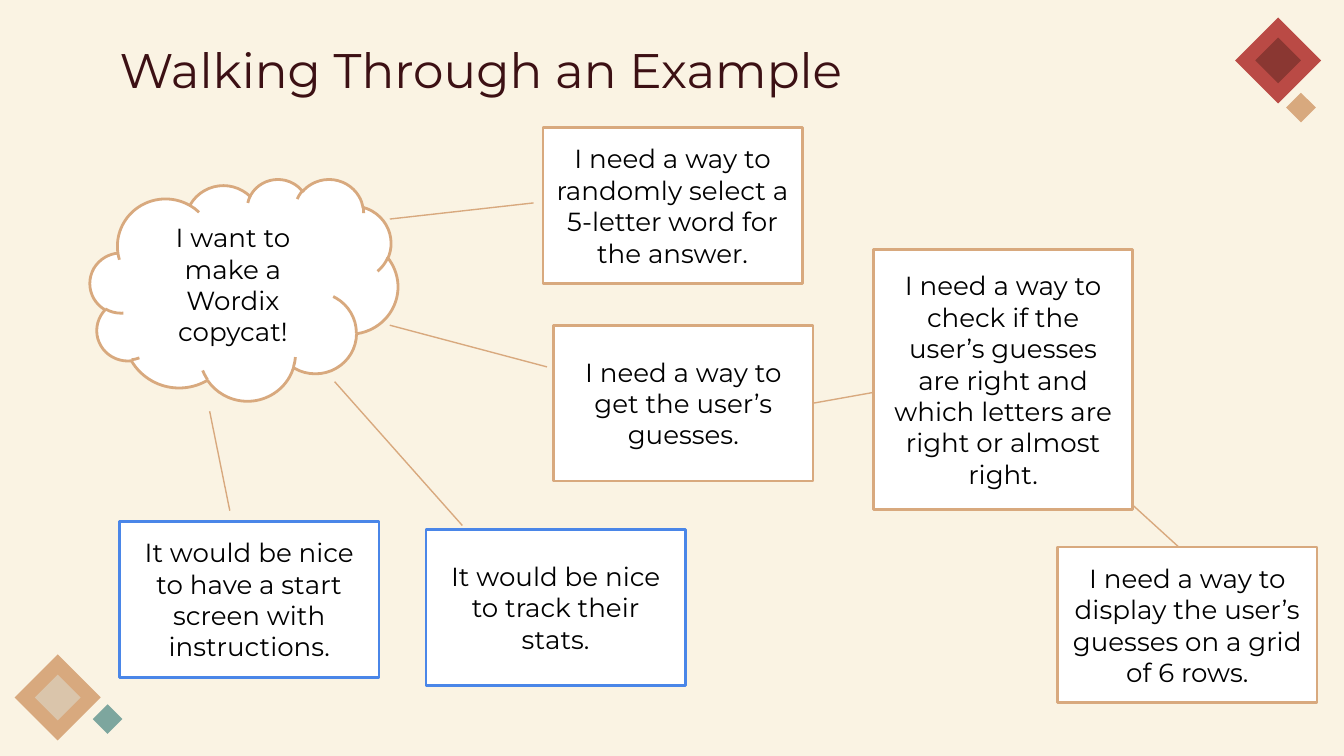
import pptx
import pptx.dml.color
import pptx.enum.shapes
import pptx.enum.text
import pptx.oxml
import pptx.oxml.ns
import pptx.util

Inches = pptx.util.Inches
Pt = pptx.util.Pt
RGBColor = pptx.dml.color.RGBColor
MSO_SHAPE = pptx.enum.shapes.MSO_SHAPE
PP_ALIGN = pptx.enum.text.PP_ALIGN

CREAM = RGBColor(0xFA, 0xF3, 0xE3)
WHITE = RGBColor(0xFF, 0xFF, 0xFF)
BLACK = RGBColor(0x00, 0x00, 0x00)
MAROON = RGBColor(0x3C, 0x10, 0x14)
TAN = RGBColor(0xD8, 0xA9, 0x7E)
SAND = RGBColor(0xDA, 0xC5, 0xAB)
RED = RGBColor(0xBA, 0x4A, 0x45)
DARK_RED = RGBColor(0x8A, 0x37, 0x32)
TEAL = RGBColor(0x7D, 0xA6, 0x9E)
BLUE = RGBColor(0x4A, 0x86, 0xE8)


def write_text(shape, text, size=14, color=BLACK, align=PP_ALIGN.CENTER):
    frame = shape.text_frame
    frame.word_wrap = True
    frame.auto_size = pptx.enum.text.MSO_AUTO_SIZE.NONE
    frame.vertical_anchor = pptx.enum.text.MSO_ANCHOR.MIDDLE
    frame.margin_left = frame.margin_right = Inches(0.1)
    frame.margin_top = frame.margin_bottom = Inches(0.1)
    paragraph = frame.paragraphs[0]
    paragraph.text = text
    paragraph.alignment = align
    paragraph.font.name = "Montserrat"
    paragraph.font.size = Pt(size)
    paragraph.font.color.rgb = color


def add_filled_shape(kind, left, top, width, height, fill, outline=None):
    shape = slide.shapes.add_shape(
        kind, Inches(left), Inches(top), Inches(width), Inches(height))
    shape.shadow.inherit = False
    shape.fill.solid()
    shape.fill.fore_color.rgb = fill
    if outline is None:
        shape.line.fill.background()
    else:
        shape.line.color.rgb = outline
        shape.line.width = Pt(1.5)
    return shape


presentation = pptx.Presentation()
presentation.slide_width = Inches(10)
presentation.slide_height = Inches(10 * 9 / 16)
slide = presentation.slides.add_slide(presentation.slide_layouts[5])
slide.background.fill.solid()
slide.background.fill.fore_color.rgb = CREAM

# Corner diamonds
for left, top, size, color in [
    (0.11, 4.87, 0.64, TAN),
    (0.26, 5.02, 0.34, SAND),
    (9.19, 0.13, 0.64, RED),
    (9.34, 0.28, 0.34, DARK_RED),
    (0.69, 5.24, 0.22, TEAL),
    (9.57, 0.69, 0.22, TAN),
]:
    add_filled_shape(MSO_SHAPE.DIAMOND, left, top, size, size, color)

title = slide.shapes.title
title.left, title.top = Inches(0.79), Inches(0.2)
title.width, title.height = Inches(8.43), Inches(0.63)
write_text(title, "Walking Through an Example", size=26, color=MAROON,
           align=PP_ALIGN.LEFT)

# Idea cloud and the tasks it leads to
cloud = add_filled_shape(MSO_SHAPE.CLOUD, 0.67, 1.33, 2.29, 1.65, WHITE, TAN)
write_text(cloud, "I want to make a Wordix copycat!")

tasks = {}
for name, left, top, height, outline, text in [
    ("answer", 4.04, 0.95, 1.16, TAN,
     "I need a way to randomly select a 5-letter word for the answer."),
    ("guesses", 4.12, 2.42, 1.16, TAN,
     "I need a way to get the user’s guesses."),
    ("grid", 7.87, 4.07, 1.16, TAN,
     "I need a way to display the user’s guesses on a grid of 6 rows."),
    ("check", 6.5, 1.86, 1.93, TAN,
     "I need a way to check if the user’s guesses are right and which "
     "letters are right or almost right."),
    ("start", 0.89, 3.88, 1.16, BLUE,
     "It would be nice to have a start screen with instructions."),
    ("stats", 3.17, 3.94, 1.16, BLUE,
     "It would be nice to track their stats."),
]:
    tasks[name] = add_filled_shape(
        MSO_SHAPE.RECTANGLE, left, top, 1.93, height, WHITE, outline)
    write_text(tasks[name], text)

for start_x, start_y, end_x, end_y, start_task in [
    (2.9, 1.63, 3.97, 1.51, None),
    (2.9, 2.42, 4.07, 2.73, None),
    (1.56, 3.06, 1.71, 3.8, None),
    (2.49, 2.84, 3.44, 3.91, None),
    (6.05, 3, 6.5, 2.92, "guesses"),
    (8.43, 3.76, 8.77, 4.07, None),
]:
    connector = slide.shapes.add_connector(
        pptx.enum.shapes.MSO_CONNECTOR.STRAIGHT,
        Inches(start_x), Inches(start_y), Inches(end_x), Inches(end_y))
    connector.line.color.rgb = TAN
    connector.line.width = Pt(0.75)
    properties = connector._element.spPr
    properties.append(
        pptx.oxml.parse_xml(
            "<a:effectLst %s/>" % pptx.oxml.ns.nsdecls("a")))
    if start_task:
        connector.begin_connect(tasks[start_task], 3)

presentation.save("out.pptx")
